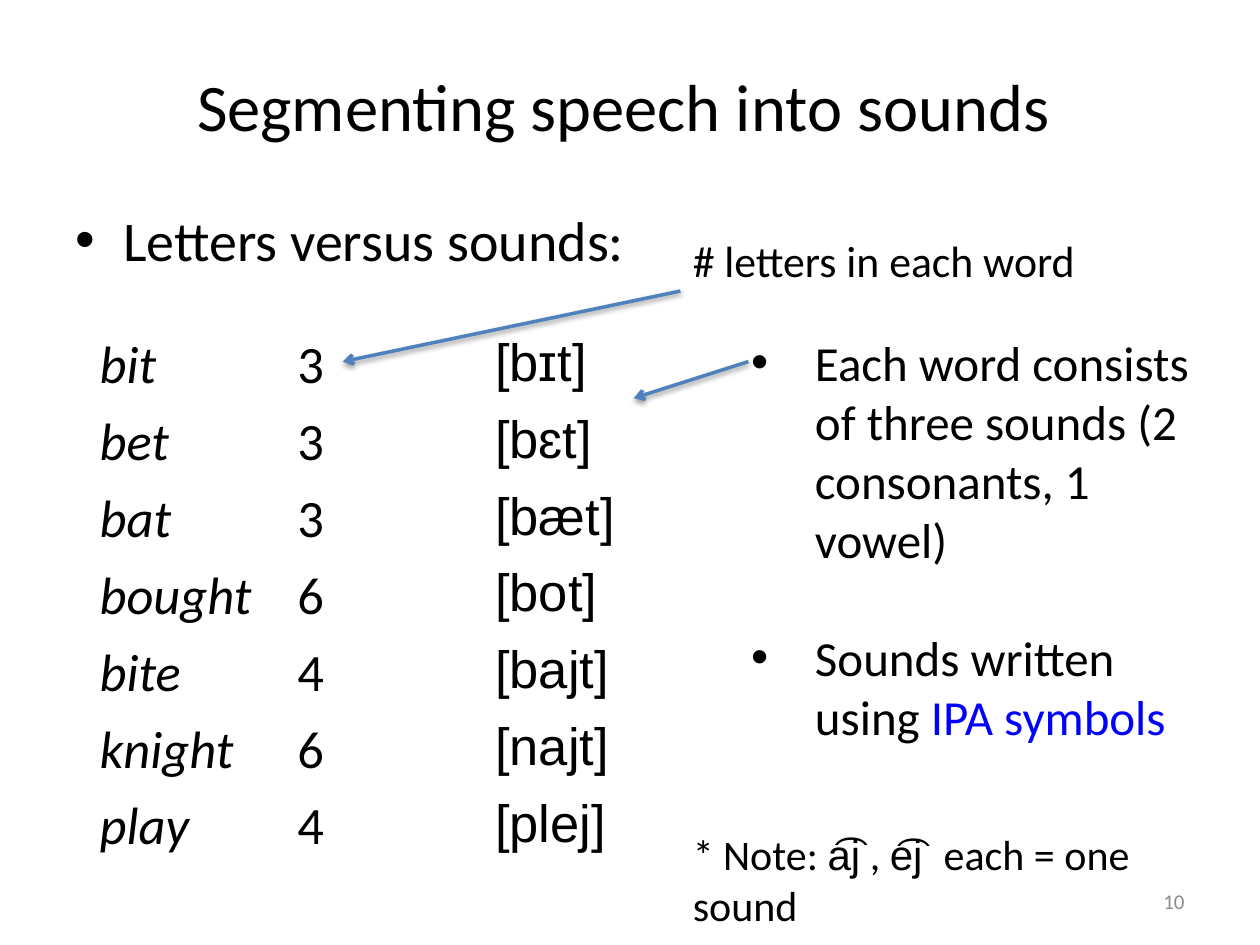
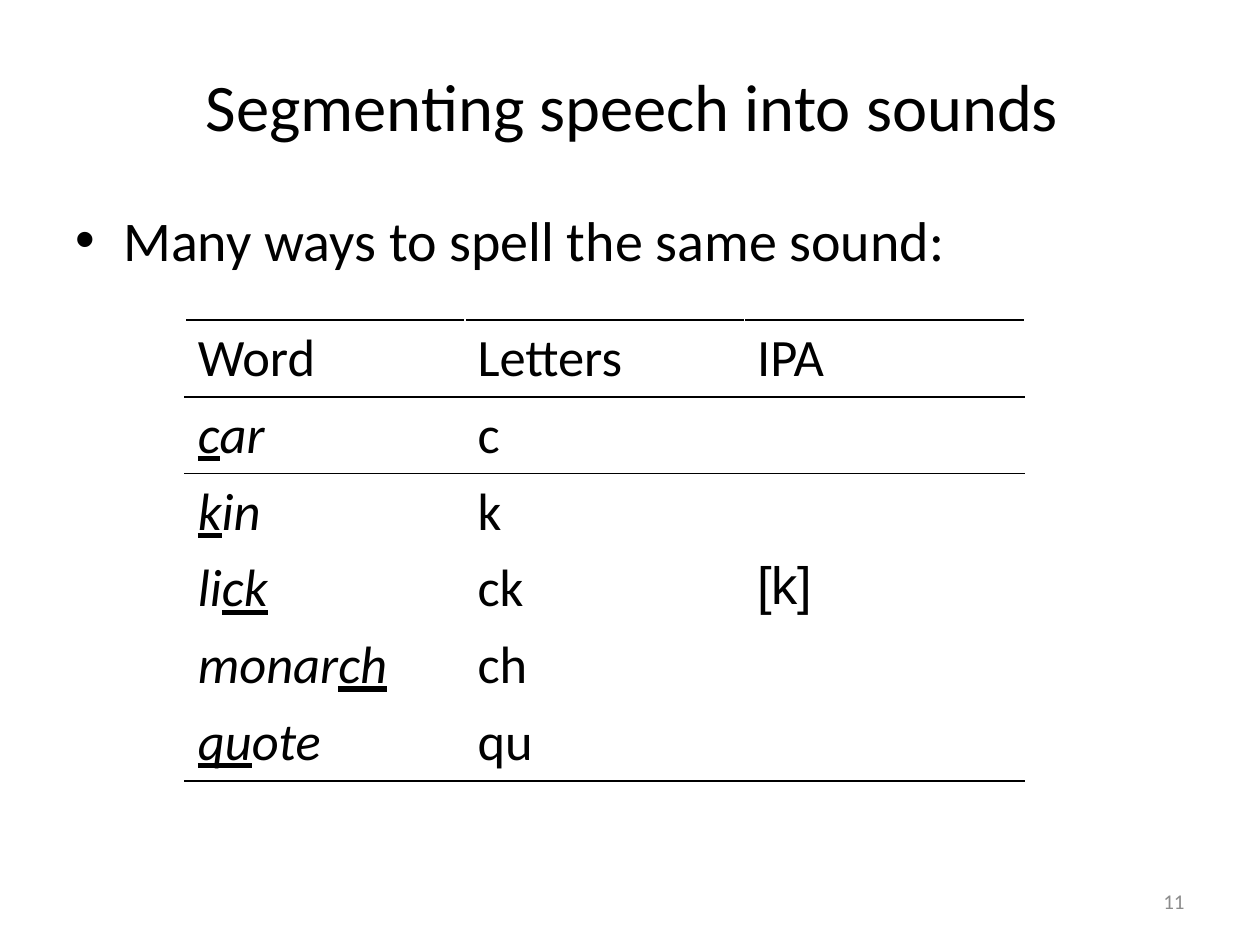
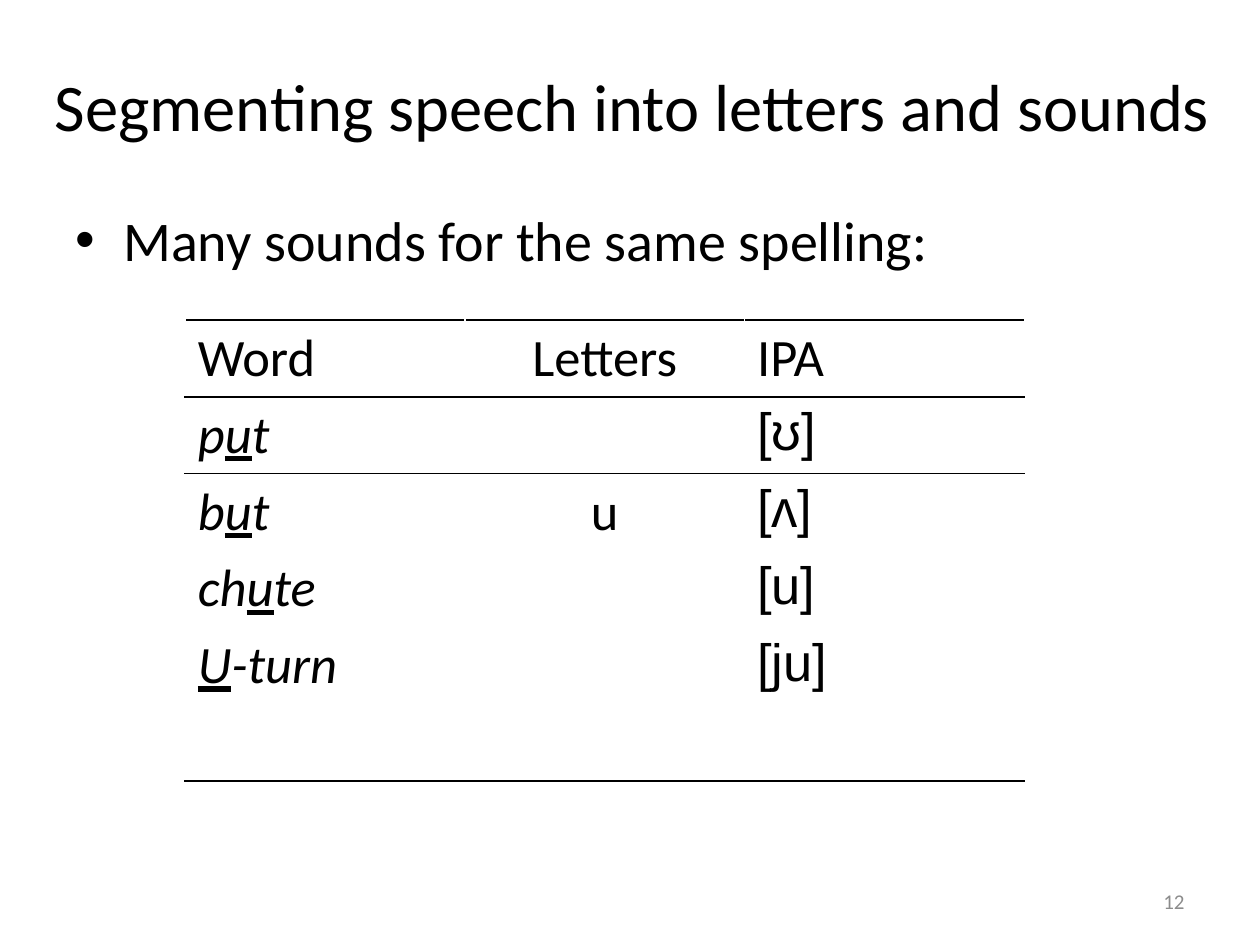
from typing import NamedTuple, Optional

from lxml import etree
from pptx import Presentation
from pptx.dml.color import RGBColor
from pptx.enum.shapes import MSO_CONNECTOR
from pptx.enum.text import MSO_ANCHOR, PP_ALIGN
from pptx.oxml.ns import qn
from pptx.util import Inches, Pt

LEFT, CENTER, RIGHT = PP_ALIGN.LEFT, PP_ALIGN.CENTER, PP_ALIGN.RIGHT
TOP, MIDDLE = MSO_ANCHOR.TOP, MSO_ANCHOR.MIDDLE
STRAIGHT = MSO_CONNECTOR.STRAIGHT

BLACK = RGBColor(0x00, 0x00, 0x00)
GRAY = RGBColor(0x8C, 0x8C, 0x8C)
BLUE = RGBColor(0x00, 0x00, 0xFF)
STEEL = RGBColor(0x4F, 0x81, 0xBD)
SANS, PHONE = "Calibri", "Arial"
ROW = 0.61
CELL_SIZE = 30


class Box(NamedTuple):
    left: float
    top: float
    width: float
    height: float


class Run(NamedTuple):
    text: str
    font: Optional[str] = None
    color: Optional[RGBColor] = None
    under: bool = False


class Para(NamedTuple):
    runs: list[Run]
    size: float
    font: str = SANS
    color: RGBColor = BLACK
    align: PP_ALIGN = LEFT
    italic: bool = False
    indent: float = 0
    before: float = 0


class Arrow(NamedTuple):
    x1: float
    y1: float
    x2: float
    y2: float


class Grid(NamedTuple):
    left: float
    top: float
    col: float
    rows: list[list[Optional[Para]]]
    ruled: bool = False


def add_tag(parent, name: str, **attrs):
    return etree.SubElement(parent, qn(name), attrs)


def fill_para(para, item: Para) -> None:
    if item.indent:
        props = para._p.get_or_add_pPr()
        props.set("marL", str(Inches(item.indent)))
        props.set("indent", str(-Inches(item.indent)))
        add_tag(props, "a:buFont", typeface="Arial")
        add_tag(props, "a:buChar", char="•")
    para.alignment = item.align
    if item.before:
        para.space_before = Pt(item.before)
    font = para.font
    font.name, font.size, font.italic = item.font, Pt(item.size), item.italic
    font.color.rgb = item.color
    for part in item.runs:
        run = para.add_run()
        run.text = part.text
        if part.font:
            run.font.name = part.font
        if part.color is not None:
            run.font.color.rgb = part.color
        if part.under:
            run.font.underline = True


def add_text(slide, box: Box, *items: Para, anchor: MSO_ANCHOR = TOP) -> None:
    frame = slide.shapes.add_textbox(*map(Inches, box)).text_frame
    frame.word_wrap = True
    frame.vertical_anchor = anchor
    for i, item in enumerate(items):
        fill_para(frame.add_paragraph() if i else frame.paragraphs[0], item)


def add_arrow(slide, arrow: Arrow) -> None:
    """Draw a line with an open head at its end and a soft shadow below."""
    line = slide.shapes.add_connector(STRAIGHT, *map(Inches, arrow))
    line.line.color.rgb = STEEL
    line.line.width = Pt(2)
    add_tag(line.line._get_or_add_ln(), "a:tailEnd", type="arrow")
    effects = add_tag(line._element.spPr, "a:effectLst")
    shadow = add_tag(effects, "a:outerShdw", blurRad=str(Pt(3.1)),
                     dist=str(Pt(1.6)), dir="5400000", rotWithShape="0")
    tint = add_tag(shadow, "a:srgbClr", val=str(BLACK))
    add_tag(tint, "a:alpha", val="38000")


def add_rule(cell, side: str) -> None:
    line = add_tag(cell._tc.get_or_add_tcPr(), side, w=str(Pt(1)))
    add_tag(add_tag(line, "a:solidFill"), "a:srgbClr", val=str(BLACK))


def add_grid(slide, grid: Grid) -> None:
    count, cols = len(grid.rows), len(grid.rows[0])
    size = (grid.left, grid.top, grid.col * cols, ROW * count)
    table = slide.shapes.add_table(count, cols, *map(Inches, size)).table
    table.first_row = table.horz_banding = False
    for r, row in enumerate(grid.rows):
        for c, item in enumerate(row):
            cell = table.cell(r, c)
            if grid.ruled and r < 3:
                add_rule(cell, "a:lnT")
            if grid.ruled and r in (0, 1, count - 1):
                add_rule(cell, "a:lnB")
            cell.fill.background()
            if item:
                fill_para(cell.text_frame.paragraphs[0], item)


def plain(text: str, align: PP_ALIGN = LEFT) -> Para:
    return Para([Run(text)], CELL_SIZE, align=align)


def sound(text: str) -> Para:
    return Para([Run(f"[{text}]")], CELL_SIZE, font=PHONE)


def word(head: str, mark: str = "", tail: str = "") -> Para:
    """Set a sample word in italics with its middle part underlined."""
    parts = [Run(head), Run(mark, under=True), Run(tail)]
    return Para([p for p in parts if p.text], CELL_SIZE, italic=True)


def start_slide(deck, number: int, title: str, lead: str, left: float = 0.27):
    slide = deck.slides.add_slide(deck.slide_layouts[6])
    add_text(slide, Box(left, 0.3, 9.5, 1.06),
             Para([Run(title)], 38, align=CENTER), anchor=MIDDLE)
    add_text(slide, Box(0.5, 1.58, 9, 5.12),
             Para([Run(lead)], 32, indent=0.38))
    add_text(slide, Box(7.17, 6.95, 2.33, 0.4),
             Para([Run(str(number))], 12, color=GRAY, align=RIGHT),
             anchor=MIDDLE)
    return slide


def add_letters(deck) -> None:
    slide = start_slide(deck, 10, "Segmenting speech into sounds",
                        "Letters versus sounds:", left=0.2)
    samples = [("bit", "bɪt"), ("bet", "bɛt"), ("bat", "bæt"),
               ("bought", "bot"), ("bite", "bajt"), ("knight", "najt"),
               ("play", "plej")]
    rows = [[word(w), plain(str(len(w))), sound(s)] for w, s in samples]
    add_grid(slide, Grid(0.69, 2.6, 1.57, rows))
    add_text(slide, Box(5.4, 1.81, 3.29, 0.52),
             Para([Run("# letters in each word")], 25))
    facts = "Each word consists of three sounds (2 consonants, 1 vowel)"
    add_text(slide, Box(5.87, 2.59, 3.83, 3.4),
             Para([Run(facts)], 28, indent=0.5),
             Para([Run("Sounds written using "),
                   Run("IPA symbols", color=BLUE)],
                  28, indent=0.5, before=34))
    add_text(slide, Box(5.4, 6.53, 4.56, 0.5),
             Para([Run("* Note: "), Run("a͡j", PHONE), Run(" , "),
                   Run("e͡j ", PHONE), Run(" each = one sound")], 24))
    for arrow in (Arrow(5.4, 2.31, 2.72, 2.87), Arrow(5.94, 2.87, 5.03, 3.16)):
        add_arrow(slide, arrow)


def add_spellings(deck) -> None:
    slide = start_slide(deck, 11, "Segmenting speech into sounds",
                        "Many ways to spell the same sound:")
    samples = [("", "c", "ar"), ("", "k", "in"), ("li", "ck", ""),
               ("monar", "ch", ""), ("", "qu", "ote")]
    rows = [[plain(head) for head in ("Word", "Letters", "IPA")]]
    rows += [[word(*s), plain(s[1]), sound("k") if i == 2 else None]
             for i, s in enumerate(samples)]
    add_grid(slide, Grid(1.47, 2.54, 2.22, rows, ruled=True))


def add_sounds(deck) -> None:
    slide = start_slide(deck, 12, "Segmenting speech into letters and sounds",
                        "Many sounds for the same spelling:")
    samples = [("p", "u", "t", "ʊ"), ("b", "u", "t", "ʌ"),
               ("ch", "u", "te", "u"), ("", "U", "-turn", "ju")]
    rows = [[plain("Word"), plain("Letters", CENTER), plain("IPA")]]
    rows += [[word(*parts), plain("u", CENTER) if i == 1 else None, sound(ipa)]
             for i, (*parts, ipa) in enumerate(samples)]
    rows.append([None] * 3)
    add_grid(slide, Grid(1.47, 2.54, 2.22, rows, ruled=True))


def main() -> None:
    deck = Presentation()
    deck.slide_width, deck.slide_height = Inches(10), Inches(7.5)
    for build in (add_letters, add_spellings, add_sounds):
        build(deck)
    deck.save("out.pptx")


if __name__ == "__main__":
    main()
